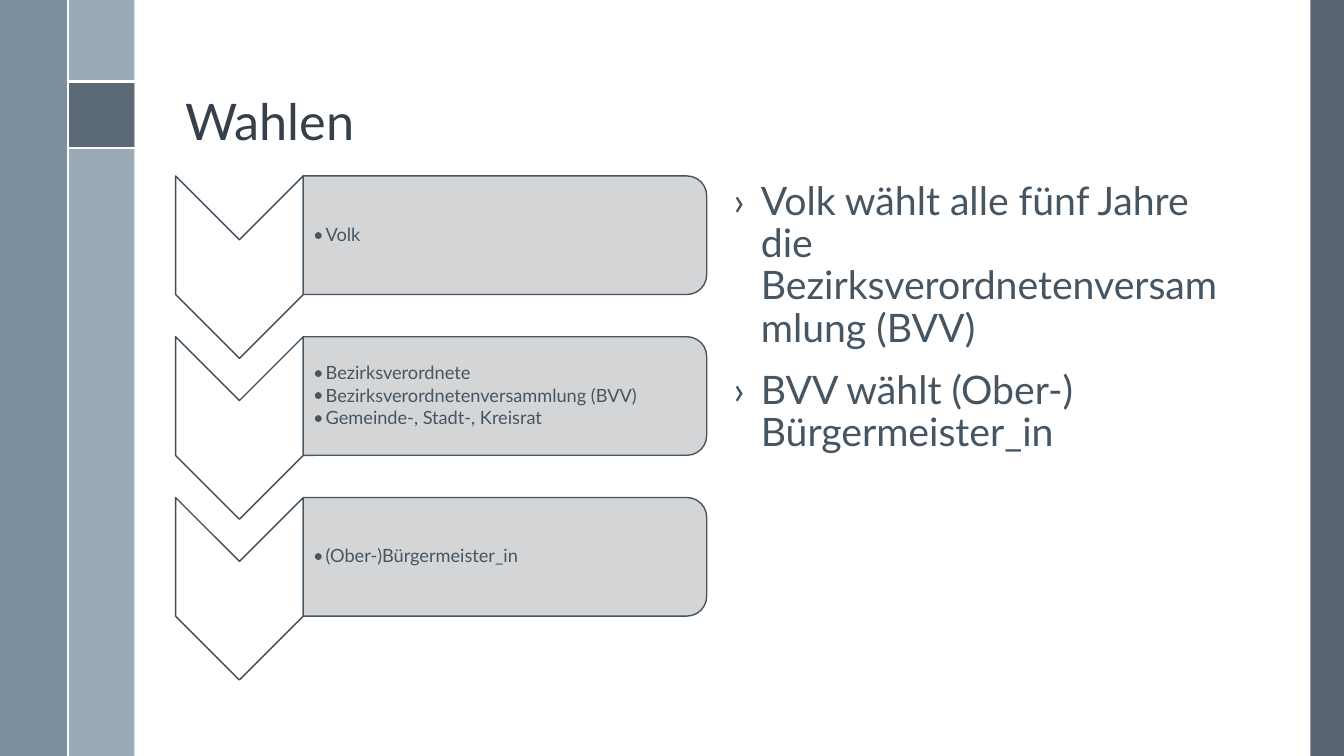
from lxml.etree import SubElement
from pptx import Presentation
from pptx.dml.color import RGBColor
from pptx.enum.shapes import MSO_CONNECTOR, MSO_SHAPE
from pptx.enum.text import MSO_ANCHOR
from pptx.oxml.ns import qn
from pptx.util import Pt

# Content
TITLE = "Wahlen"
STEPS = [
    ["Volk"],
    ["Bezirksverordnete", "Bezirksverordnetenversammlung (BVV)", "Gemeinde-, Stadt-, Kreisrat"],
    ["(Ober-)Bürgermeister_in"],
]
EXPLANATION = [
    "Volk wählt alle fünf Jahre die Bezirksverordnetenversammlung (BVV)",
    "BVV wählt (Ober-) Bürgermeister_in",
]
COLORS = {
    "dark": "475562", "light": "9BAAB7", "blue": "6A8093", "white": "FFFFFF",
    "title": "35404A", "text": "465562", "chevron_line": "404D59", "panel": "CFD1D3",
}
FONT = "Lato"

# Side bars: left, top, width, height, colour, opacity in percent
BARS = [
    (936, 0, 24, 540, "dark", 90),
    (48, 0, 48, 540, "light", 100),
    (0, 0, 48, 540, "blue", 88),
    (48, 58.2, 48, 48, "dark", 75),
]
# Separators: start x, start y, end x, end y
SEPARATORS = [(48, 58.2, 96.3, 58.2), (48, 106, 96.3, 106), (48.3, 0, 48.3, 540)]

# Step geometry
STEPS_TOP, STEPS_HEIGHT = 125.7, 360
CHEVRON_LEFT, CHEVRON_WIDTH, CHEVRON_HEIGHT = 125.4, 91.2, 130.3
PANEL_LEFT, PANEL_WIDTH, PANEL_HEIGHT = 216.6, 288.2, 84.7
STEP_PITCH = (STEPS_HEIGHT - CHEVRON_HEIGHT) / (len(STEPS) - 1)

presentation = Presentation()
presentation.slide_width, presentation.slide_height = Pt(960), Pt(540)
slide = presentation.slides.add_slide(presentation.slide_layouts[6])


def color(name):
    return RGBColor.from_string(COLORS[name])


def add_filled(kind, left, top, width, height, fill, opacity=100, line=None):
    shape = slide.shapes.add_shape(kind, Pt(left), Pt(top), Pt(width), Pt(height))
    shape.shadow.inherit = False
    shape.fill.solid()
    shape.fill.fore_color.rgb = color(fill)
    if opacity < 100:
        fill_color = shape.fill._xPr.find(qn("a:solidFill"))[0]
        SubElement(fill_color, qn("a:alpha"), val=str(opacity * 1000))
    if line:
        shape.line.color.rgb = color(line)
        shape.line.width = Pt(1)
    else:
        shape.line.fill.background()
    return shape


def add_turned(kind, left, top, width, height, fill, opacity, line):
    """Place a shape rotated by 90° so that it covers the given area."""
    shift = (width - height) / 2
    shape = add_filled(kind, left + shift, top - shift, height, width, fill, opacity, line)
    shape.rotation = 90
    return shape


def add_text(lines, left, top, width, height, size, font_color, anchor=MSO_ANCHOR.TOP,
             insets=(7.2, 3.6, 7.2, 3.6), bullet=None, indent=0, before=0, after=0):
    frame = slide.shapes.add_textbox(Pt(left), Pt(top), Pt(width), Pt(height)).text_frame
    frame.word_wrap = True
    frame.vertical_anchor = anchor
    (frame.margin_left, frame.margin_top,
     frame.margin_right, frame.margin_bottom) = map(Pt, insets)
    frame.text = "\n".join(lines)
    for index, paragraph in enumerate(frame.paragraphs):
        paragraph.line_spacing = 0.9
        paragraph.space_before = Pt(before if index else 0)
        paragraph.space_after = Pt(after)
        if bullet:
            properties = paragraph._p.get_or_add_pPr()
            properties.set("marL", str(Pt(indent)))
            properties.set("indent", str(-Pt(indent)))
            SubElement(properties, qn("a:buFont"), typeface=FONT)
            SubElement(properties, qn("a:buChar"), char=bullet)
        for run in paragraph.runs:
            run.font.name = FONT
            run.font.size = Pt(size)
            run.font.color.rgb = color(font_color)


# Side bars and separators
for left, top, width, height, fill, opacity in BARS:
    add_filled(MSO_SHAPE.RECTANGLE, left, top, width, height, fill, opacity)
for points in SEPARATORS:
    separator = slide.shapes.add_connector(MSO_CONNECTOR.STRAIGHT, *map(Pt, points))
    separator.line.color.rgb = color("white")
    separator.line.width = Pt(1.5)
    SubElement(separator._element.spPr, qn("a:effectLst"))

# Title
add_text([TITLE], 125.3, 13.7, 770.4, 97.9, 36, "title", MSO_ANCHOR.BOTTOM)

# Chevron list
for index, lines in enumerate(STEPS):
    top = STEPS_TOP + index * STEP_PITCH
    add_turned(MSO_SHAPE.CHEVRON, CHEVRON_LEFT, top, CHEVRON_WIDTH, CHEVRON_HEIGHT,
               "white", 100, "chevron_line")
    add_turned(MSO_SHAPE.ROUND_2_SAME_RECTANGLE, PANEL_LEFT, top, PANEL_WIDTH, PANEL_HEIGHT,
               "panel", 90, "text")
    add_text(lines, PANEL_LEFT, top + 4.1, PANEL_WIDTH - 4.1, PANEL_HEIGHT - 8.2, 13, "text",
             MSO_ANCHOR.MIDDLE, (7.2, 0.7, 0.7, 0.7), "•", 9, after=2)

# Explanation
add_text(EXPLANATION, 517, 126, 379.4, 360, 28, "text", bullet="›", indent=19.4, before=14)

presentation.save("out.pptx")
